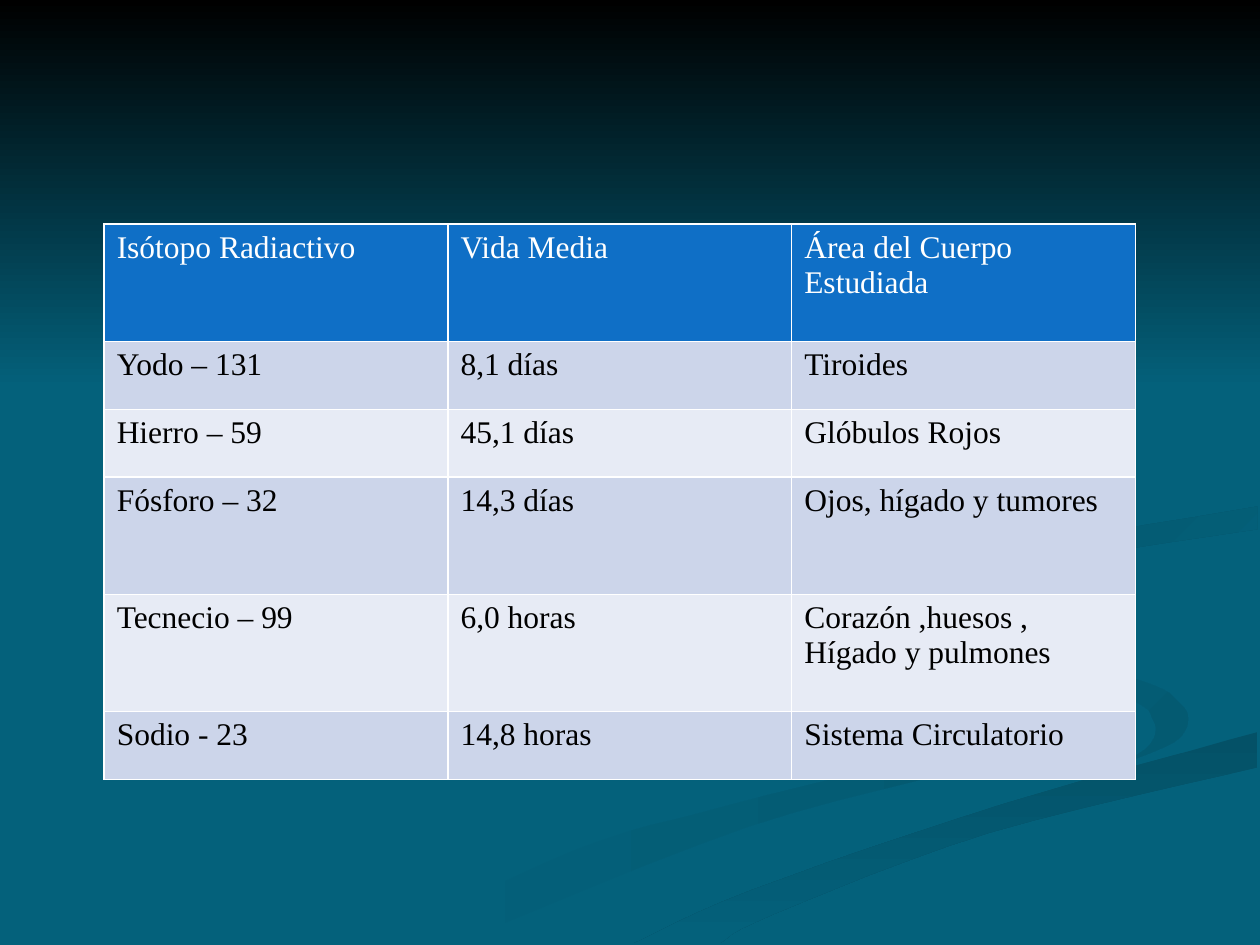
from pptx import Presentation
from pptx.dml.color import RGBColor
from pptx.enum.shapes import MSO_SHAPE as Shape
from pptx.oxml import parse_xml
from pptx.oxml.ns import nsdecls
from pptx.util import Cm, Pt

# Content
HEADINGS = ["Isótopo Radiactivo", "Vida Media", "Área del Cuerpo Estudiada"]
ISOTOPES = [
    ("Yodo – 131", "8,1 días", "Tiroides"),
    ("Hierro – 59", "45,1 días", "Glóbulos Rojos"),
    ("Fósforo – 32", "14,3 días", "Ojos, hígado y tumores"),
    ("Tecnecio – 99", "6,0 horas", "Corazón ,huesos , Hígado y pulmones"),
    ("Sodio - 23", "14,8 horas", "Sistema Circulatorio"),
]

# Style
FONT = "Times New Roman"
TEAL, BLACK, WHITE, BLUE = "04617B", "000000", "FFFFFF", "0F6FC6"
SHADE, DEEP_SHADE = "045A71", "045167"
BANDS = ["CCD5EA", "E7EBF5"]
RIGHTWARD, DIAGONAL, DOWNWARD = 0, 45, 90  # gradient directions, clockwise

# Layout in centimetres
SLIDE_WIDTH, SLIDE_HEIGHT, SKY_HEIGHT = 25.4, 19.05, 7.82
TABLE_LEFT, TABLE_TOP, COLUMN_WIDTH = 2.1, 4.52, 6.93
TALL, SHORT = 2.36, 1.37
ROW_HEIGHTS = [TALL, SHORT, SHORT, TALL, TALL, SHORT]

# Each ribbon is the area between two smooth edges, given by a few knots.
RIBBONS = {
    "long sweep": dict(
        start=TEAL, end=SHADE, angle=RIGHTWARD,
        outer=[(14.6, 11.66), (15.3, 12.45), (17.35, 13.18), (19.86, 14.05),
               (20.32, 14.76), (19.8, 15.37), (15.1, 16.66), (9.17, 19.02)],
        inner=[(14.6, 11.66), (15.5, 12.67), (18.1, 13.46), (19.7, 14.05),
               (19.3, 14.99), (14.7, 16.23), (11.63, 17.12), (7.62, 19.02)]),
    "hook": dict(
        start=TEAL, end=SHADE, angle=DIAGONAL,
        outer=[(18.39, 11.79), (19.66, 12.78), (22.99, 13.72), (23.75, 14.15),
               (23.95, 14.53), (23.67, 14.96), (22.71, 15.37)],
        inner=[(18.39, 11.79), (19.46, 12.98), (22.66, 14.05), (23.24, 14.5),
               (23.22, 14.96), (22.71, 15.37)]),
    "lower sweep": dict(
        start=DEEP_SHADE, end=TEAL, angle=DOWNWARD,
        outer=[(25.35, 14.76), (20.22, 16.21), (15.19, 17.93), (12.78, 19.02)],
        inner=[(25.35, 15.47), (19.94, 16.79), (15.57, 18.44), (14.5, 19.02)]),
    "upper curl": dict(
        start="04576D", end=TEAL, angle=DIAGONAL,
        outer=[(25.35, 10.21), (20.85, 11.02), (19.86, 11.68), (20.98, 12.6)],
        inner=[(25.35, 10.67), (21.82, 11.25), (20.55, 11.84), (20.98, 12.6)]),
}


def rgb(value):
    return RGBColor.from_string(value)


def smooth(knots, steps=6):
    """Return points on a Catmull-Rom curve that passes through the knots."""
    padded = [knots[0], *knots, knots[-1]]
    curve = []
    for before, here, there, after in zip(padded, padded[1:], padded[2:], padded[3:]):
        for step in range(steps):
            t = step / steps
            curve.append(tuple(
                b + ((c - a) * t + (2 * a - 5 * b + 4 * c - d) * t ** 2
                     + (3 * b - a - 3 * c + d) * t ** 3) / 2
                for a, b, c, d in zip(before, here, there, after)))
    return curve + [knots[-1]]


def paint_gradient(shape, start, end, angle):
    shape.shadow.inherit = False
    shape.line.fill.background()
    shape.fill.gradient()
    shape.fill.gradient_angle = -angle % 360
    for stop, color in zip(shape.fill.gradient_stops, (start, end)):
        stop.color.rgb = rgb(color)


def draw_ribbon(slide, outer, inner, **gradient):
    outline = smooth(outer) + smooth(inner)[::-1]
    first, *others = [(x * 100, y * 100) for x, y in outline]
    builder = slide.shapes.build_freeform(*first, scale=Cm(0.01))
    builder.add_line_segments(others, close=True)
    paint_gradient(builder.convert_to_shape(), **gradient)


def draw_backdrop(slide):
    slide.background.fill.solid()
    slide.background.fill.fore_color.rgb = rgb(TEAL)
    for ribbon in RIBBONS.values():
        draw_ribbon(slide, **ribbon)
    sky = slide.shapes.add_shape(Shape.RECTANGLE, 0, 0, Cm(SLIDE_WIDTH), Cm(SKY_HEIGHT))
    paint_gradient(sky, BLACK, TEAL, DOWNWARD)


def write(frame, text, size=18, color=BLACK, font=FONT, bold=False):
    span = frame.paragraphs[0].add_run()
    span.text = text
    span.font.size = Pt(size)
    span.font.name = font
    span.font.bold = bold
    span.font.color.rgb = rgb(color)


def outline_cell(cell, color=WHITE, width=1):
    properties = cell._tc.get_or_add_tcPr()
    for index, side in enumerate("LRTB"):
        properties.insert(index, parse_xml(
            f'<a:ln{side} {nsdecls("a")} w="{Pt(width)}"><a:solidFill>'
            f'<a:srgbClr val="{color}"/></a:solidFill></a:ln{side}>'))


def fill_row(row, texts, fill, color):
    for cell, text in zip(row.cells, texts):
        cell.fill.solid()
        cell.fill.fore_color.rgb = rgb(fill)
        outline_cell(cell)
        write(cell.text_frame, text, color=color)


def add_isotope_table(slide):
    table = slide.shapes.add_table(
        len(ROW_HEIGHTS), len(HEADINGS), Cm(TABLE_LEFT), Cm(TABLE_TOP),
        Cm(COLUMN_WIDTH * len(HEADINGS)), Cm(sum(ROW_HEIGHTS))).table
    for column in table.columns:
        column.width = Cm(COLUMN_WIDTH)
    for row, height in zip(table.rows, ROW_HEIGHTS):
        row.height = Cm(height)
    heading_row, *isotope_rows = table.rows
    fill_row(heading_row, HEADINGS, BLUE, WHITE)
    for number, (row, isotope) in enumerate(zip(isotope_rows, ISOTOPES)):
        fill_row(row, isotope, BANDS[number % len(BANDS)], BLACK)


def main():
    deck = Presentation()
    deck.slide_width, deck.slide_height = Cm(SLIDE_WIDTH), Cm(SLIDE_HEIGHT)
    slide = deck.slides.add_slide(deck.slide_layouts[6])
    draw_backdrop(slide)
    add_isotope_table(slide)
    deck.save("out.pptx")


if __name__ == "__main__":
    main()
